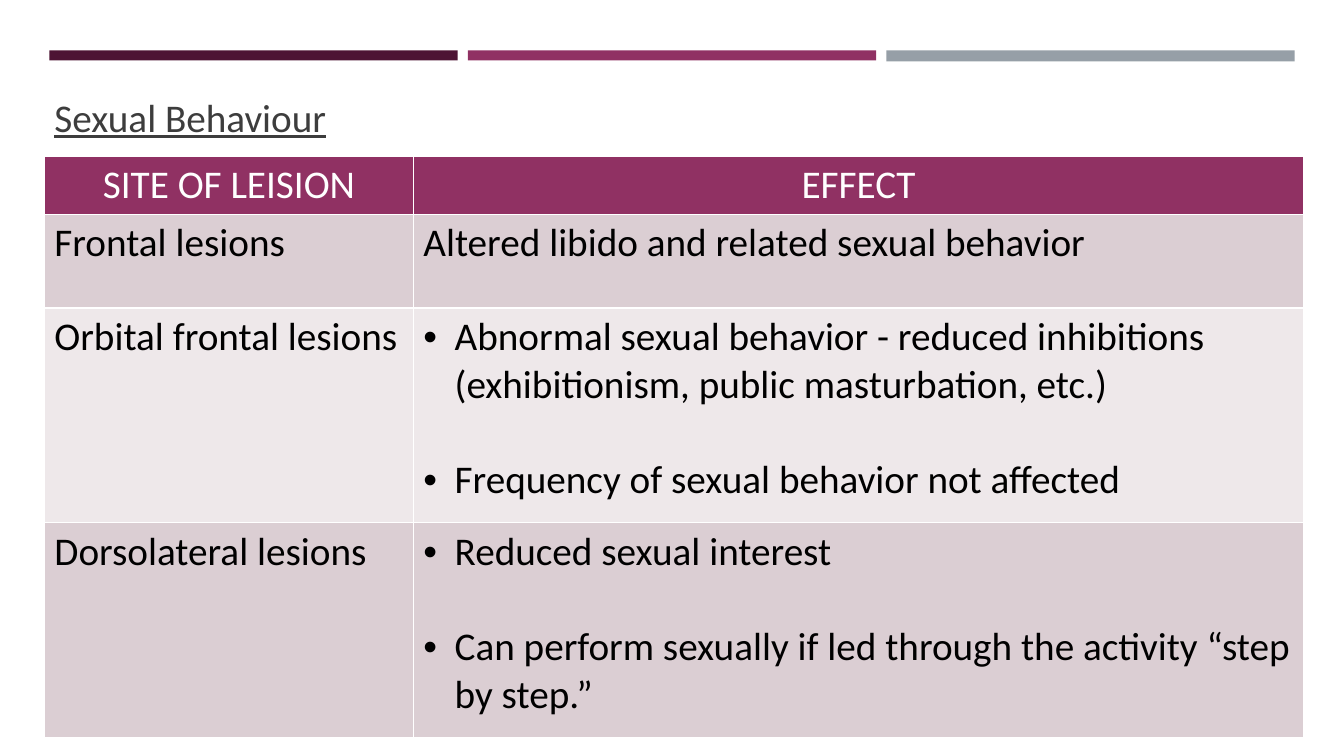
from dataclasses import dataclass

from lxml.etree import SubElement
from pptx import Presentation
from pptx.dml.color import RGBColor
from pptx.enum.shapes import MSO_SHAPE
from pptx.enum.text import MSO_ANCHOR, PP_ALIGN
from pptx.oxml import parse_xml
from pptx.oxml.ns import nsdecls, qn
from pptx.slide import Slide
from pptx.table import _Cell
from pptx.text.text import TextFrame
from pptx.util import Emu, Pt

EMU_PER_PX = 9144


@dataclass(frozen=True)
class Theme:
    font: str = "Calibri"
    text_size: int = 28
    paragraph_gap: int = 34
    border_width: int = 1
    white: str = "FFFFFF"
    black: str = "000000"
    title: str = "3D3D3D"
    plum: str = "4D1434"
    magenta: str = "903163"
    gray: str = "969FA7"
    dark_band: str = "DBCED3"
    light_band: str = "EEE8EA"


@dataclass(frozen=True)
class Bar:
    color: str
    height: int


@dataclass(frozen=True)
class LesionRow:
    site: str
    effects: tuple[str, ...]
    height: int
    fill: str
    color: str = Theme.black
    alignment: PP_ALIGN = PP_ALIGN.LEFT


THEME = Theme()
BARS = (Bar(THEME.plum, 10), Bar(THEME.magenta, 10), Bar(THEME.gray, 11))
COLUMN_WIDTHS = (366, 883)
ROWS = (
    LesionRow("SITE OF LEISION", ("EFFECT",), 57, THEME.magenta, THEME.white, PP_ALIGN.CENTER),
    LesionRow("Frontal lesions", ("Altered libido and related sexual behavior",), 93, THEME.dark_band),
    LesionRow(
        "Orbital frontal lesions",
        (
            "Abnormal sexual behavior - reduced inhibitions\v(exhibitionism, public masturbation, etc.)",
            "Frequency of sexual behavior not affected",
        ),
        213,
        THEME.light_band,
    ),
    LesionRow(
        "Dorsolateral lesions",
        (
            "Reduced sexual interest",
            "Can perform sexually if led through the activity “step by step.”",
        ),
        213,
        THEME.dark_band,
    ),
)


def px(length: int) -> Emu:
    return Emu(length * EMU_PER_PX)


def write_text(
    text_frame: TextFrame,
    *texts: str,
    color: str,
    alignment: PP_ALIGN = PP_ALIGN.LEFT,
    underline: bool = False,
    bulleted: bool = False,
) -> None:
    for index, text in enumerate(texts):
        paragraph = text_frame.add_paragraph() if index else text_frame.paragraphs[0]
        paragraph.text = text
        paragraph.alignment = alignment
        paragraph.space_before = Pt(THEME.paragraph_gap if index else 0)
        if bulleted:
            properties = paragraph._p.get_or_add_pPr()
            properties.set("marL", str(px(31)))
            properties.set("indent", str(px(-31)))
            SubElement(properties, qn("a:buFont"), typeface="Arial")
            SubElement(properties, qn("a:buChar"), char="•")
        for run in paragraph.runs:
            run.font.name = THEME.font
            run.font.size = Pt(THEME.text_size)
            run.font.bold = False
            run.font.underline = underline
            run.font.color.rgb = RGBColor.from_string(color)


def add_bars(slide: Slide) -> None:
    for index, bar in enumerate(BARS):
        shape = slide.shapes.add_shape(
            MSO_SHAPE.RECTANGLE, px(49 + 415 * index), px(50), px(405), px(bar.height)
        )
        shape.shadow.inherit = False
        shape.fill.solid()
        shape.fill.fore_color.rgb = RGBColor.from_string(bar.color)
        shape.line.fill.background()


def add_title(slide: Slide) -> None:
    title = slide.shapes.title
    title.left, title.top, title.width, title.height = px(44), px(84), px(1249), px(64)
    title.text_frame.vertical_anchor = MSO_ANCHOR.MIDDLE
    write_text(title.text_frame, "Sexual Behaviour", color=THEME.title, underline=True)


def format_cell(cell: _Cell, fill: str) -> None:
    cell.fill.solid()
    cell.fill.fore_color.rgb = RGBColor.from_string(fill)
    properties = cell._tc.get_or_add_tcPr()
    for position, side in enumerate("LRTB"):
        border = parse_xml(
            f'<a:ln{side} {nsdecls("a")} w="{Pt(THEME.border_width)}"><a:solidFill>'
            f'<a:srgbClr val="{THEME.white}"/></a:solidFill></a:ln{side}>'
        )
        properties.insert(position, border)


def add_lesion_table(slide: Slide) -> None:
    table = slide.shapes.add_table(
        len(ROWS),
        len(COLUMN_WIDTHS),
        px(44),
        px(155),
        px(sum(COLUMN_WIDTHS)),
        px(sum(row.height for row in ROWS)),
    ).table
    for column, width in zip(table.columns, COLUMN_WIDTHS):
        column.width = px(width)
    for index, row in enumerate(ROWS):
        table.rows[index].height = px(row.height)
        for column_index, texts in enumerate(((row.site,), row.effects)):
            cell = table.cell(index, column_index)
            format_cell(cell, row.fill)
            write_text(
                cell.text_frame,
                *texts,
                color=row.color,
                alignment=row.alignment,
                bulleted=len(texts) > 1,
            )


def main() -> None:
    presentation = Presentation()
    presentation.slide_width = px(1333)
    presentation.slide_height = px(750)
    slide = presentation.slides.add_slide(presentation.slide_layouts[5])
    slide.background.fill.solid()
    slide.background.fill.fore_color.rgb = RGBColor.from_string(THEME.white)
    add_bars(slide)
    add_title(slide)
    add_lesion_table(slide)
    presentation.save("out.pptx")


if __name__ == "__main__":
    main()
